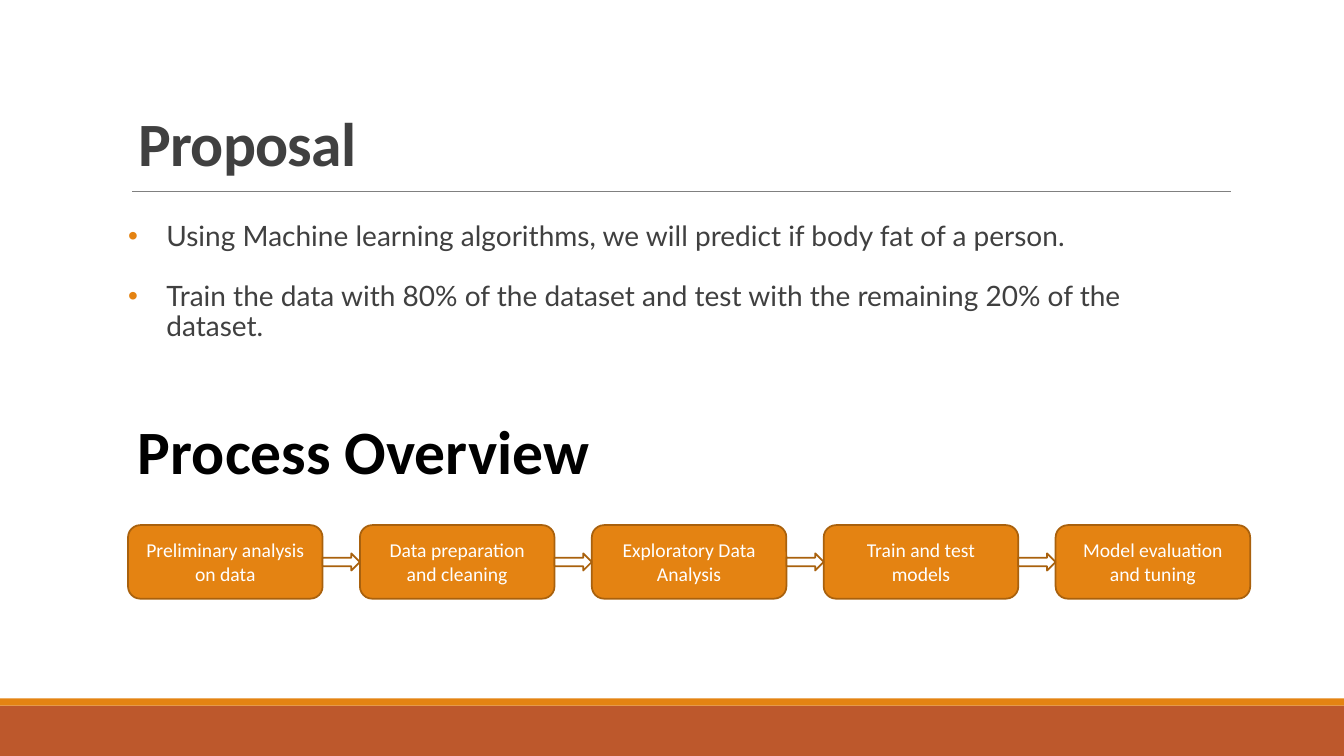
from pptx import Presentation
from pptx.dml.color import RGBColor
from pptx.enum.shapes import MSO_CONNECTOR, MSO_SHAPE
from pptx.enum.text import MSO_ANCHOR, MSO_AUTO_SIZE, PP_ALIGN
from pptx.oxml.ns import qn
from pptx.util import Inches, Pt
from lxml import etree

RECTANGLE = MSO_SHAPE.RECTANGLE
ROUNDED = MSO_SHAPE.ROUNDED_RECTANGLE
ARROW = MSO_SHAPE.RIGHT_ARROW
STRAIGHT = MSO_CONNECTOR.STRAIGHT
BOTTOM = MSO_ANCHOR.BOTTOM
MIDDLE = MSO_ANCHOR.MIDDLE
LEFT = PP_ALIGN.LEFT
CENTER = PP_ALIGN.CENTER
NO_AUTOFIT = MSO_AUTO_SIZE.NONE

WIDTH, HEIGHT = 13.33, 7.5
MARGIN = 1.27
ORANGE, RUST, OUTLINE = "E48312", "BD582C", "A9610D"
GRAY, DARK, BLACK, WHITE = "808080", "404040", "000000", "FFFFFF"

BULLETS = [
    "Using Machine learning algorithms, we will predict if body fat of a person.",
    "Train the data with 80% of the dataset and test with the remaining 20% of the dataset.",
]
STEPS = [
    "Preliminary analysis on data",
    "Data preparation and cleaning",
    "Exploratory Data Analysis",
    "Train and test models",
    "Model evaluation and tuning",
]


def color(value):
    return RGBColor.from_string(value)


def inches(box):
    return [Inches(length) for length in box]


def format_paragraph(paragraph, size, text_color, name="Calibri", bold=False,
                     alignment=LEFT, line_spacing=1.0):
    paragraph.alignment = alignment
    paragraph.line_spacing = line_spacing
    font = paragraph.font
    font.size, font.name, font.bold = Pt(size), name, bold
    font.color.rgb = color(text_color)


def add_block(slide, kind, box, fill, outline=None):
    shape = slide.shapes.add_shape(kind, *inches(box))
    shape.shadow.inherit = False
    shape.fill.solid()
    shape.fill.fore_color.rgb = color(fill)
    if outline:
        shape.line.color.rgb = color(outline)
        shape.line.width = Pt(1.25)
    else:
        shape.line.fill.background()
    return shape


def add_footer(slide, box):
    left, top, width, height = box
    stripe = 0.07
    add_block(slide, RECTANGLE, (left, top + stripe, width, height - stripe), RUST)
    add_block(slide, RECTANGLE, (left, top, width, stripe), ORANGE)


def add_rule(slide, left, right, top):
    rule = slide.shapes.add_connector(STRAIGHT, *inches((left, top, right, top)))
    rule.line.color.rgb = color(GRAY)
    rule.line.width = Pt(0.5)
    etree.SubElement(rule._element.spPr, qn("a:effectLst"))


def place_heading(shape, box, text, text_color, line_spacing):
    shape.left, shape.top, shape.width, shape.height = inches(box)
    frame = shape.text_frame
    frame.text = text
    frame.word_wrap = True
    frame.auto_size = NO_AUTOFIT
    frame.vertical_anchor = BOTTOM
    format_paragraph(frame.paragraphs[0], 44, text_color, bold=True,
                     line_spacing=line_spacing)


def add_bullet(paragraph, indent):
    properties = paragraph._p.get_or_add_pPr()
    properties.set("marL", str(Inches(indent)))
    properties.set("indent", str(-Inches(indent)))
    bullet_color = etree.SubElement(properties, qn("a:buClr"))
    etree.SubElement(bullet_color, qn("a:srgbClr"), val=ORANGE)
    etree.SubElement(properties, qn("a:buFont"), typeface="Arial")
    etree.SubElement(properties, qn("a:buChar"), char="•")


def add_proposal(slide, box):
    frame = slide.shapes.add_textbox(*inches(box)).text_frame
    frame.word_wrap = True
    frame.margin_left = frame.margin_right = 0
    for index, text in enumerate(BULLETS):
        paragraph = frame.add_paragraph() if index else frame.paragraphs[0]
        paragraph.text = text
        format_paragraph(paragraph, 20, DARK, "Lato", line_spacing=0.9)
        paragraph.space_before = Pt(21 if index else 0)
        add_bullet(paragraph, 0.38)


def add_process(slide, box):
    left, top, width, height = box
    gap, arrow_height = 0.37, 0.17
    step_width = (width - gap * (len(STEPS) - 1)) / len(STEPS)
    lefts = [left + index * (step_width + gap) for index in range(len(STEPS))]
    for step_left, text in zip(lefts, STEPS):
        step = add_block(slide, ROUNDED, (step_left, top, step_width, height),
                         ORANGE, OUTLINE)
        frame = step.text_frame
        frame.text = text
        frame.word_wrap = True
        frame.vertical_anchor = MIDDLE
        format_paragraph(frame.paragraphs[0], 14, WHITE, alignment=CENTER)
    arrow_top = top + (height - arrow_height) / 2
    for step_left in lefts[:-1]:
        add_block(slide, ARROW, (step_left + step_width, arrow_top, gap, arrow_height),
                  WHITE, OUTLINE)


def build_slide(presentation):
    slide = presentation.slides.add_slide(presentation.slide_layouts[5])
    add_footer(slide, (0, 6.93, WIDTH, HEIGHT - 6.93))
    add_rule(slide, 1.31, 12.21, 1.9)
    title = slide.shapes.title
    place_heading(title, (MARGIN, 0.94, 12.05, 0.89), "Proposal", DARK, 0.85)
    title.text_frame.paragraphs[0].runs[0].font._element.set("spc", "-50")
    add_proposal(slide, (MARGIN, 2.16, 10.77, 1.82))
    overview = slide.shapes.add_textbox(0, 0, 0, 0)
    place_heading(overview, (MARGIN, 4, 12.05, 0.89), "Process Overview", BLACK, 0.9)
    add_process(slide, (MARGIN, 5.21, 11.13, 0.73))


def main():
    presentation = Presentation()
    presentation.slide_width = Inches(WIDTH)
    presentation.slide_height = Inches(HEIGHT)
    build_slide(presentation)
    presentation.save("out.pptx")


if __name__ == "__main__":
    main()
